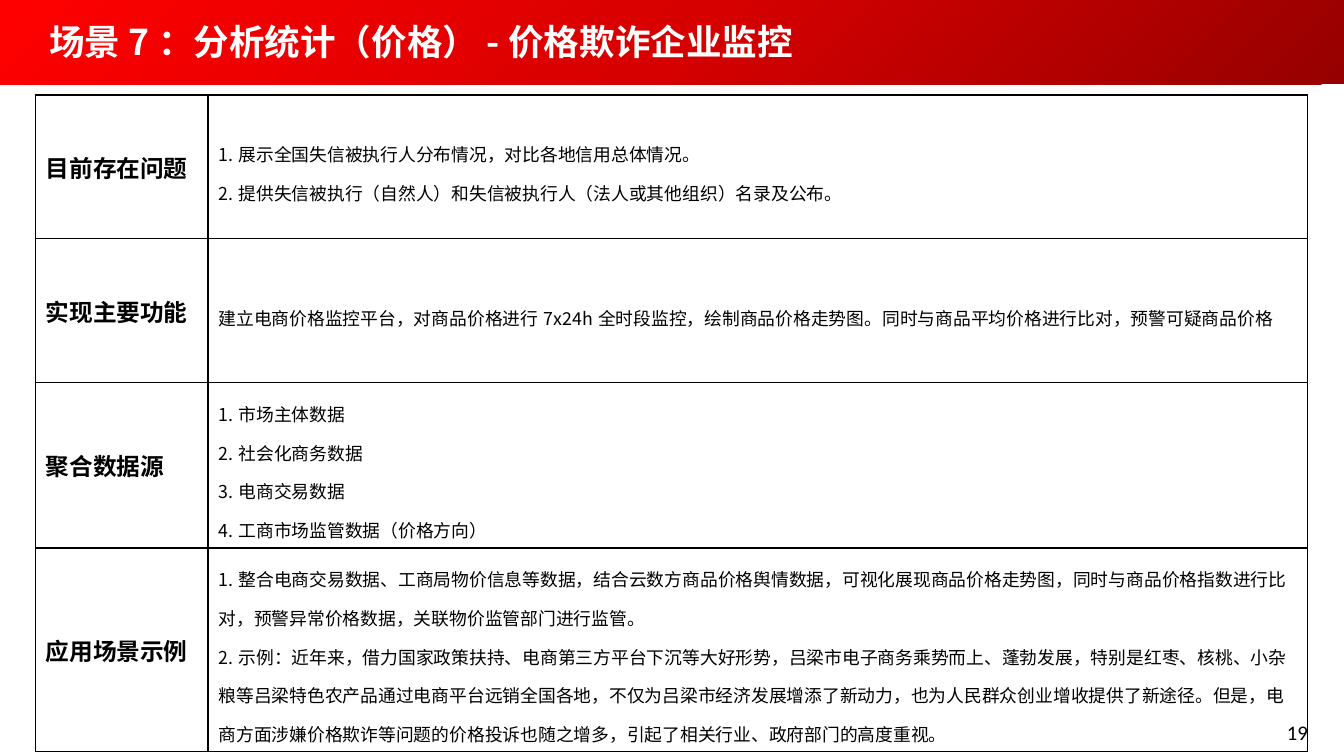
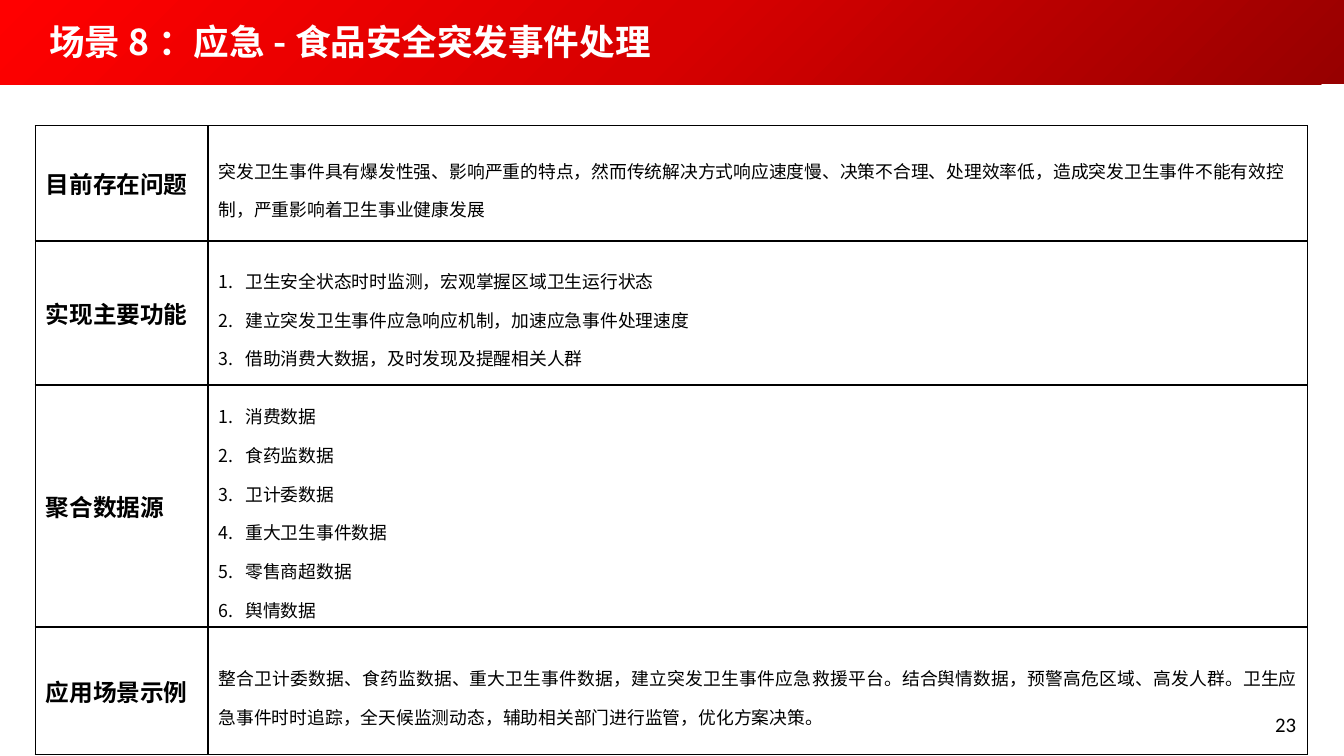
from copy import deepcopy

from lxml.etree import SubElement
from pptx import Presentation
from pptx.dml.color import RGBColor
from pptx.enum.shapes import MSO_SHAPE
from pptx.enum.text import MSO_ANCHOR, PP_ALIGN
from pptx.oxml.ns import qn
from pptx.util import Inches, Pt

WIDTH, HEIGHT = 12.6, 7.09
BLACK = RGBColor(0, 0, 0)
WHITE = RGBColor(255, 255, 255)
REDS = [RGBColor(0x97, 0, 0), RGBColor(0xD7, 0, 0), RGBColor(0xFF, 0, 0)]
HAN = "Noto Sans CJK SC"
LATIN = "Calibri"
LEFT = 0.33
COLS = [1.62, 10.31]
LABELS = ["目前存在问题", "实现主要功能", "聚合数据源", "应用场景示例"]

PRICE = [
    ["1.展示全国失信被执行人分布情况，对比各地信用总体情况。",
     "2.提供失信被执行（自然人）和失信被执行人（法人或其他组织）名录及公布。"],
    ["建立电商价格监控平台，对商品价格进行7x24h全时段监控，绘制商品价格走势图。"
     "同时与商品平均价格进行比对，预警可疑商品价格"],
    ["1.市场主体数据", "2.社会化商务数据", "3.电商交易数据",
     "4.工商市场监管数据（价格方向）"],
    ["1.整合电商交易数据、工商局物价信息等数据，结合云数方商品价格舆情数据，"
     "可视化展现商品价格走势图，同时与商品价格指数进行比对，预警异常价格数据，"
     "关联物价监管部门进行监管。",
     "2.示例：近年来，借力国家政策扶持、电商第三方平台下沉等大好形势，"
     "吕梁市电子商务乘势而上、蓬勃发展，特别是红枣、核桃、小杂粮等吕梁特色农产品"
     "通过电商平台远销全国各地，不仅为吕梁市经济发展增添了新动力，"
     "也为人民群众创业增收提供了新途径。但是，电商方面涉嫌价格欺诈等问题的"
     "价格投诉也随之增多，引起了相关行业、政府部门的高度重视。"],
]
FOOD = [
    ["突发卫生事件具有爆发性强、影响严重的特点，然而传统解决方式响应速度慢、"
     "决策不合理、处理效率低，造成突发卫生事件不能有效控制，严重影响着卫生事业健康发展"],
    ["卫生安全状态时时监测，宏观掌握区域卫生运行状态",
     "建立突发卫生事件应急响应机制，加速应急事件处理速度",
     "借助消费大数据，及时发现及提醒相关人群"],
    ["消费数据", "食药监数据", "卫计委数据", "重大卫生事件数据", "零售商超数据", "舆情数据"],
    ["整合卫计委数据、食药监数据、重大卫生事件数据，建立突发卫生事件应急救援平台。"
     "结合舆情数据，预警高危区域、高发人群。卫生应急事件时时追踪，全天候监测动态，"
     "辅助相关部门进行监管，优化方案决策。"],
]


def style(para, size, color=BLACK, bold=False, face=HAN):
    font = para.font
    font.size, font.bold = Pt(size), bold
    font.color.rgb = color
    font.name = face
    SubElement(font._rPr, qn("a:ea"), typeface=face)


def number(para):
    """Make the paragraph an auto-numbered item with a hanging indent."""
    props = para._p.get_or_add_pPr()
    indent = Inches(0.25)
    props.set("marL", str(indent))
    props.set("indent", str(-indent))
    SubElement(props, qn("a:buFont"), typeface="+mj-lt")
    SubElement(props, qn("a:buAutoNum"), type="arabicPeriod")


def add_band(slide):
    band = slide.shapes.add_shape(
        MSO_SHAPE.RECTANGLE, 0, 0, Inches(WIDTH), Inches(0.79))
    band.shadow.inherit = False
    band.line.fill.background()
    fill = band.fill
    fill.gradient()
    fill.gradient_angle = 135
    first = next(band._element.spPr.iter(qn("a:gs")))
    first.addnext(deepcopy(first))
    for i, (stop, red) in enumerate(zip(fill.gradient_stops, REDS)):
        stop.position = i / 2
        stop.color.rgb = red


def add_text(slide, text, left, top, width, height):
    box = slide.shapes.add_textbox(*map(Inches, (left, top, width, height)))
    frame = box.text_frame
    frame.word_wrap = True
    frame.text = text
    return frame


def add_title(slide, text):
    frame = add_text(slide, text, 0.35, 0.07, 11.91, 0.64)
    frame.vertical_anchor = MSO_ANCHOR.MIDDLE
    frame.margin_left = frame.margin_right = Inches(0.11)
    frame.margin_top = frame.margin_bottom = Inches(0.06)
    style(frame.paragraphs[0], 24, WHITE, True)


def add_page(slide, page, left, top):
    para = add_text(slide, str(page), left, top, 2.94, 0.38).paragraphs[0]
    para.alignment = PP_ALIGN.RIGHT
    style(para, 14, face=LATIN)


def frame_cell(cell):
    """Give the cell black borders, no fill and centred height."""
    props = cell._tc.get_or_add_tcPr()
    for side in ("lnL", "lnR", "lnT", "lnB"):
        line = SubElement(props, qn(f"a:{side}"), w=str(Pt(1)))
        fill = SubElement(line, qn("a:solidFill"))
        SubElement(fill, qn("a:srgbClr"), val=str(BLACK))
    cell.fill.background()
    cell.vertical_anchor = MSO_ANCHOR.MIDDLE


def fill_body(cell, lines, listed, align):
    cell.text = "\n".join(lines)
    for para in cell.text_frame.paragraphs:
        para.line_spacing = 1.5
        para.alignment = align
        if listed:
            number(para)
        style(para, 12)


def add_grid(slide, top, heights, bodies, listed=(), justed=()):
    """Add the labelled table; listed and justed are row indexes."""
    table = slide.shapes.add_table(
        len(LABELS), len(COLS), Inches(LEFT), Inches(top),
        Inches(sum(COLS)), Inches(sum(heights))).table
    table.first_row = table.horz_banding = False
    for col, width in zip(table.columns, COLS):
        col.width = Inches(width)
    for i, (label, lines) in enumerate(zip(LABELS, bodies)):
        table.rows[i].height = Inches(heights[i])
        head, body = table.rows[i].cells
        frame_cell(head)
        frame_cell(body)
        head.text = label
        style(head.text_frame.paragraphs[0], 16, bold=True)
        align = PP_ALIGN.JUSTIFY if i in justed else None
        fill_body(body, lines, i in listed, align)


def add_scene(deck, title):
    slide = deck.slides.add_slide(deck.slide_layouts[6])
    add_band(slide)
    add_title(slide, title)
    return slide


def main():
    deck = Presentation()
    deck.slide_width, deck.slide_height = Inches(WIDTH), Inches(HEIGHT)

    price = add_scene(deck, "场景7：分析统计（价格）-价格欺诈企业监控")
    add_grid(price, 0.89, [1.35, 1.35, 1.55, 1.91], PRICE)
    add_page(price, 19, 9.42, 6.7)

    food = add_scene(deck, "场景8：应急-食品安全突发事件处理")
    add_grid(food, 1.18, [1.08, 1.35, 2.27, 1.2], FOOD,
             listed=(1, 2), justed=(3,))
    add_page(food, 23, 9.31, 6.63)

    deck.save("out.pptx")


if __name__ == "__main__":
    main()
